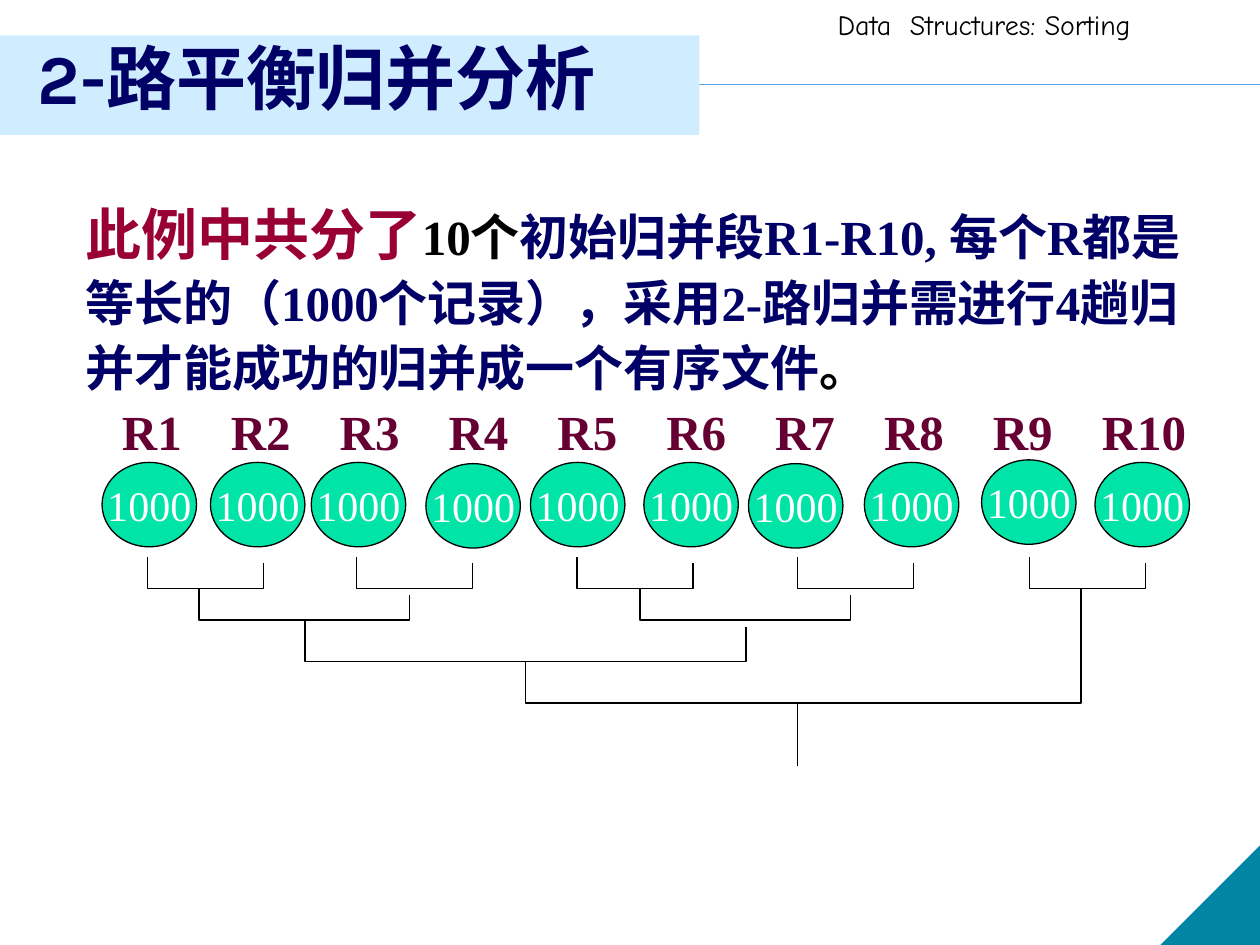
from lxml import etree
from pptx import Presentation
from pptx.dml.color import RGBColor
from pptx.enum.shapes import MSO_CONNECTOR, MSO_SHAPE
from pptx.enum.text import MSO_ANCHOR, MSO_AUTO_SIZE, PP_ALIGN
from pptx.oxml.ns import qn
from pptx.util import Inches, Pt

STRAIGHT = MSO_CONNECTOR.STRAIGHT
RECTANGLE, OVAL = MSO_SHAPE.RECTANGLE, MSO_SHAPE.OVAL
RIGHT_TRIANGLE = MSO_SHAPE.RIGHT_TRIANGLE
BOTTOM, MIDDLE = MSO_ANCHOR.BOTTOM, MSO_ANCHOR.MIDDLE
NO_AUTOFIT = MSO_AUTO_SIZE.NONE
LEFT, CENTER = PP_ALIGN.LEFT, PP_ALIGN.CENTER

SERIF = "Times New Roman"
NAVY = "000066"
BLACK = "000000"


def add_run(paragraph, text, color, **font_format):
    run = paragraph.add_run()
    run.text = text
    run.font.color.rgb = RGBColor.from_string(color)
    for name, value in font_format.items():
        setattr(run.font, name, value)


def add_line(shapes, start, end, color, width):
    line = shapes.add_connector(STRAIGHT, *map(Inches, start + end))
    line.line.color.rgb = RGBColor.from_string(color)
    line.line.width = Pt(width)
    etree.SubElement(line.element.spPr, qn("a:effectLst"))


presentation = Presentation()
presentation.slide_width = Inches(10)
presentation.slide_height = Inches(7.5)
slide = presentation.slides.add_slide(presentation.slide_layouts[5])
shapes = slide.shapes

# Page decoration: rule, corner triangle, title band
add_line(shapes, (0, 0.67), (10, 0.67), "5AAAED", 1)
for kind, box, color in (
    (RIGHT_TRIANGLE, (9.21, 6.71, 0.79, 0.79), "0085A4"),
    (RECTANGLE, (0, 0.28, 5.55, 0.79), "CFEDFE"),
):
    shape = shapes.add_shape(kind, *map(Inches, box))
    shape.shadow.inherit = False
    shape.fill.solid()
    shape.fill.fore_color.rgb = RGBColor.from_string(color)
    shape.line.fill.background()
    if kind == RIGHT_TRIANGLE:
        shape.element.spPr.xfrm.set("flipH", "1")

# Running header
header = shapes.add_textbox(Inches(6.55), Inches(0.01), Inches(3.45), Inches(0.37))
header.text_frame.word_wrap = True
add_run(header.text_frame.paragraphs[0], "Data  Structures: Sorting", BLACK,
        name="Comic Neue", size=Pt(16))

# Title, brought in front of the band
title = shapes.title
title.left, title.top = Inches(0.2), Inches(0.12)
title.width, title.height = Inches(8.52), Inches(0.87)
title.text_frame.auto_size = NO_AUTOFIT
title.text_frame.vertical_anchor = BOTTOM
paragraph = title.text_frame.paragraphs[0]
paragraph.alignment = LEFT
add_run(paragraph, "2-路平衡归并分析", NAVY, name="Karla", size=Pt(40), bold=True)
header.element.addnext(title.element)

# Explanation and run labels
body = shapes.add_textbox(Inches(0.58), Inches(1.48), Inches(9), Inches(2.23))
body.text_frame.word_wrap = True
paragraph = body.text_frame.paragraphs[0]
paragraph.line_spacing = 1.1
for text, size, color in (
    ("此例中共分了", 32, "990033"),
    ("10个", 28, BLACK),
    ("初始归并段R1-R10, 每个R都是等长的（1000个记录），采用2-路归并需进行4趟归并"
     "才能成功的归并成一个有序文件", 28, NAVY),
    ("。", 28, BLACK),
):
    add_run(paragraph, text, color, name=SERIF, size=Pt(size), bold=True)

labels = body.text_frame.add_paragraph()
labels.line_spacing = 1.1
add_run(labels, "".join(f"\tR{number}" for number in range(1, 11)), "660033",
        name=SERIF, size=Pt(28), bold=True)
tab_list = etree.SubElement(labels._p.get_or_add_pPr(), qn("a:tabLst"))
for index in range(10):
    position = Inches(0.29 + 0.864 * index)
    etree.SubElement(tab_list, qn("a:tab"), pos=str(position), algn="l")

# Merge tree: left, right, top, bottom and top of the right arm
brackets = [(left, left + 0.92, 4.42, 4.67, 4.47)
            for left in (1.17, 2.83, 4.58, 6.33, 8.17)]
brackets += [(left, left + 1.67, 4.67, 4.92, 4.72) for left in (1.58, 5.08)]
brackets += [(2.42, 5.92, 4.92, 5.25, 4.98), (4.17, 8.58, 5.25, 5.58, 5.32)]
tree = shapes.add_group_shape()
for left, right, top, bottom, right_top in brackets:
    builder = tree.shapes.build_freeform(Inches(left), Inches(top))
    corners = ((left, bottom), (right, bottom), (right, right_top))
    builder.add_line_segments(
        [(Inches(x), Inches(y)) for x, y in corners], close=False)
    bracket = builder.convert_to_shape()
    bracket.shadow.inherit = False
    bracket.fill.background()
    bracket.line.color.rgb = RGBColor.from_string(BLACK)
    bracket.line.width = Pt(0.75)
add_line(tree.shapes, (8.58, 4.67), (8.58, 5.33), BLACK, 0.75)
add_line(tree.shapes, (6.33, 5.58), (6.33, 6.08), BLACK, 0.75)

# Initial runs of 1000 records
runs = shapes.add_group_shape()
for left, top in (
    (0.81, 3.67), (1.67, 3.67), (2.47, 3.67), (3.38, 3.68), (4.21, 3.67),
    (5.11, 3.67), (5.94, 3.68), (6.86, 3.67), (7.79, 3.65), (8.69, 3.67),
):
    circle = runs.shapes.add_shape(
        OVAL, Inches(left), Inches(top), Inches(0.75), Inches(0.67))
    circle.shadow.inherit = False
    circle.fill.solid()
    circle.fill.fore_color.rgb = RGBColor.from_string("00E4A8")
    circle.line.color.rgb = RGBColor.from_string(BLACK)
    circle.line.width = Pt(0.75)
    circle.text_frame.word_wrap = False
    circle.text_frame.vertical_anchor = MIDDLE
    paragraph = circle.text_frame.paragraphs[0]
    paragraph.alignment = CENTER
    add_run(paragraph, "1000", "FFFFFF", name=SERIF, size=Pt(24))

presentation.save("out.pptx")
